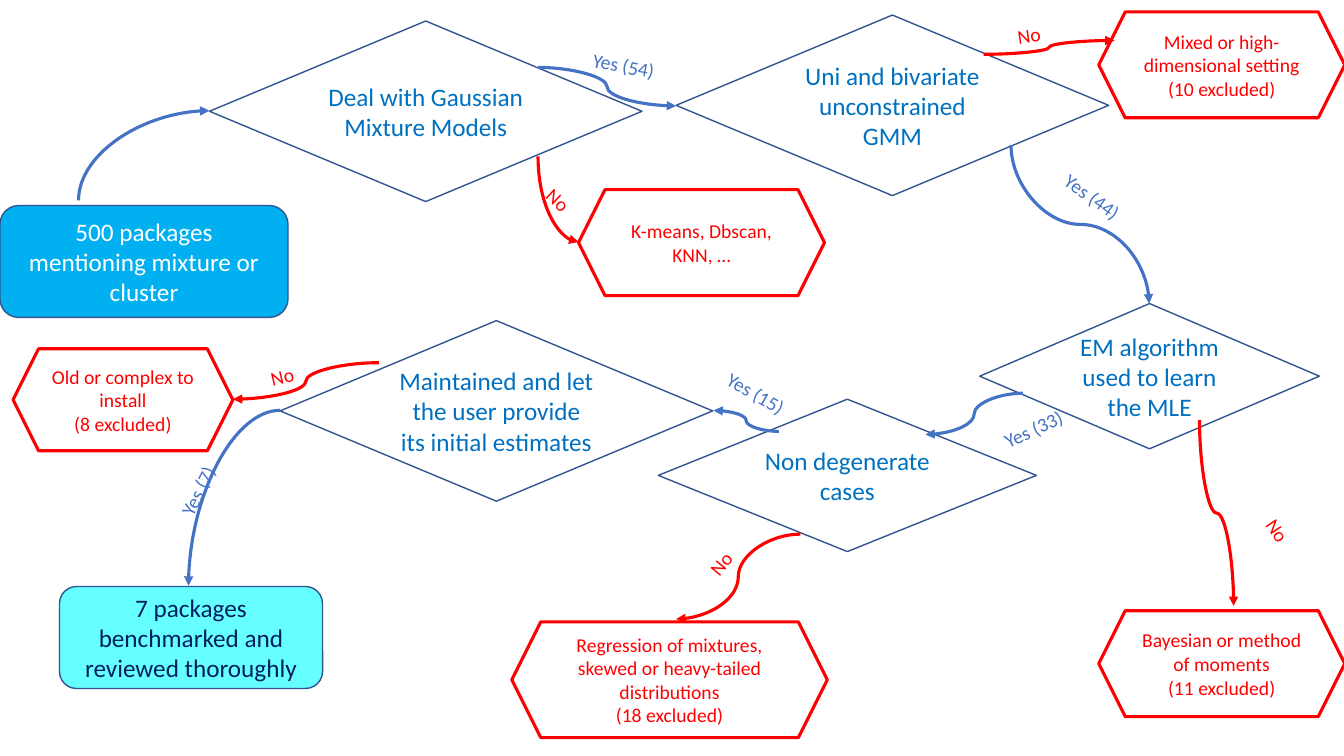
from math import cos, radians, sin

from pptx import Presentation
from pptx.dml.color import RGBColor
from pptx.enum.shapes import MSO_CONNECTOR, MSO_SHAPE as SHAPE
from pptx.enum.text import MSO_ANCHOR, PP_ALIGN
from pptx.oxml.ns import qn
from pptx.oxml.xmlchemy import OxmlElement
from pptx.util import Cm, Pt

NAVY = RGBColor(0x32, 0x54, 0x91)
BLUE = RGBColor(0x44, 0x72, 0xC4)
TEXT_BLUE = RGBColor(0x00, 0x70, 0xC0)
DARK_BLUE = RGBColor(0x00, 0x20, 0x60)
SKY = RGBColor(0x00, 0xB0, 0xF0)
AQUA = RGBColor(0x66, 0xFF, 0xFF)
RED = RGBColor(0xFF, 0x00, 0x00)
WHITE = RGBColor(0xFF, 0xFF, 0xFF)

# Rotation of a connector that leaves its start in the given direction
TURN = {"right": 0, "up": 90, "left": 180, "down": 270}


class Flowchart:
    """Holds the style and the current slide; draws each kind of element."""

    font = "Calibri"
    big, small = Pt(18), Pt(14)
    thin, thick = Pt(1), Pt(2.25)

    def __init__(self, slide):
        """Keep the slide to draw on."""
        self.shapes = slide.shapes

    def add_text(self, tf, lines, size, color):
        """Fill a text frame with centred paragraphs."""
        tf.word_wrap = True
        tf.vertical_anchor = MSO_ANCHOR.MIDDLE
        for i, line in enumerate(lines):
            p = tf.paragraphs[0] if i == 0 else tf.add_paragraph()
            p.alignment = PP_ALIGN.CENTER
            r = p.add_run()
            r.text = line
            r.font.name, r.font.size = self.font, size
            r.font.color.rgb = color

    def node(self, kind, box, lines, size, color, line, width, fill=None):
        """Draw an outlined preset shape with text."""
        sp = self.shapes.add_shape(kind, *map(Cm, box))
        sp.shadow.inherit = False
        if fill is None:
            sp.fill.background()
        else:
            sp.fill.solid()
            sp.fill.fore_color.rgb = fill
        sp.line.color.rgb, sp.line.width = line, width
        self.add_text(sp.text_frame, lines, size, color)

    def decision(self, x, y, text, w=10.9, h=4.55):
        """Draw a question diamond."""
        self.node(SHAPE.FLOWCHART_DECISION, (x, y, w, h), [text],
                  self.big, TEXT_BLUE, NAVY, self.thin)

    def excluded(self, x, y, *lines, w=6.2, h=2.67):
        """Draw a red hexagon for rejected packages."""
        self.node(SHAPE.HEXAGON, (x, y, w, h), lines,
                  self.small, RED, RED, self.thick)

    def stage(self, box, text, color, fill):
        """Draw a filled rounded box for the start or the end."""
        self.node(SHAPE.ROUNDED_RECTANGLE, box, [text],
                  self.big, color, NAVY, self.thin, fill)

    def arrow(self, start, end, leave, color, preset="curvedConnector3"):
        """Draw a curved arrow that leaves its start in one direction."""
        (x1, y1), (x2, y2) = start, end
        turn = TURN[leave]
        c, s = cos(radians(turn)), sin(radians(turn))
        dx, dy = (x2 - x1) / 2, (y2 - y1) / 2
        # Half extents of the curve before it is rotated
        hx, hy = c * dx + s * dy, c * dy - s * dx
        cx, cy = x1 + dx, y1 + dy
        cxn = self.shapes.add_connector(
            MSO_CONNECTOR.CURVE,
            *map(Cm, (cx - hx, cy - hy, cx + hx, cy + hy)))
        cxn.line.color.rgb, cxn.line.width = color, self.thick
        sp_pr = cxn._element.spPr
        sp_pr.find(qn("a:xfrm")).set("rot", str(turn * 60000))
        sp_pr.find(qn("a:prstGeom")).set("prst", preset)
        tail = OxmlElement("a:tailEnd")
        tail.set("type", "triangle")
        sp_pr.find(qn("a:ln")).append(tail)
        sp_pr.append(OxmlElement("a:effectLst"))

    def label(self, cx, cy, text, angle, color):
        """Add a rotated answer around a centre point."""
        w, h = 2.2, 0.86
        sp = self.shapes.add_textbox(Cm(cx - w / 2), Cm(cy - h / 2), Cm(w), Cm(h))
        sp.rotation = angle
        tf = sp.text_frame
        tf.margin_left = tf.margin_right = 0
        self.add_text(tf, [text], self.small, color)


def main():
    """Build the package selection flowchart."""
    prs = Presentation()
    prs.slide_width, prs.slide_height = Cm(33.87), Cm(19.05)
    s = Flowchart(prs.slides.add_slide(prs.slide_layouts[6]))

    s.decision(5.28, 0.53, "Deal with Gaussian Mixture Models")
    s.decision(17.04, 0.38, "Uni and bivariate unconstrained GMM")
    s.decision(24.69, 7.65, "EM algorithm used to learn the MLE", 8.56, 3.66)
    s.decision(16.59, 10.06, "Non degenerate cases", 9.53, 3.84)
    s.decision(7.06, 8.08,
               "Maintained and let the user provide its initial estimates")

    s.stage((0, 5.18, 7.26, 2.82),
            "500 packages mentioning mixture or cluster", WHITE, SKY)
    s.stage((1.5, 14.78, 6.63, 2.57),
            "7 packages benchmarked and reviewed thoroughly", DARK_BLUE, AQUA)

    s.excluded(14.58, 4.78, "K-means, Dbscan, KNN, …")
    s.excluded(27.69, 0.3, "Mixed or high-dimensional setting (10 excluded)")
    s.excluded(27.69, 15.39, "Bayesian or method of moments", "(11 excluded)")
    s.excluded(12.9, 15.67,
               "Regression of mixtures, skewed or heavy-tailed distributions",
               "(18 excluded)", w=7.95, h=2.92)
    s.excluded(0.33, 8.79, "Old or complex to install", "(8 excluded)",
               w=5.54, h=2.57)

    quarter = "curvedConnector2"
    s.arrow((1.98, 5.05), (5.28, 2.79), "up", BLUE, quarter)
    s.arrow((13.56, 1.7), (17.04, 2.67), "right", BLUE)
    s.arrow((25.48, 3.66), (28.96, 7.65), "down", BLUE)
    s.arrow((25.78, 9.91), (23.32, 10.95), "left", BLUE)
    s.arrow((19.63, 10.87), (17.98, 10.34), "left", BLUE)
    s.arrow((7.06, 10.34), (4.75, 14.76), "left", BLUE, quarter)
    s.arrow((13.56, 3.94), (14.58, 6.1), "down", RED, quarter)
    s.arrow((24.79, 1.37), (28.09, 1.02), "right", RED)
    s.arrow((30.23, 10.59), (31.09, 15.27), "down", RED)
    s.arrow((20.17, 13.46), (17.04, 15.6), "left", RED)
    s.arrow((9.55, 9.14), (5.87, 10.06), "left", RED)

    for cx, cy, count, angle in [
        (15.72, 1.65, 54, 10.5), (27.53, 4.95, 44, 35.7),
        (26.04, 10.8, 33, -25.2), (19.05, 9.91, 15, 29.7),
        (4.98, 12.37, 7, -63.8),
    ]:
        s.label(cx, cy, f"Yes ({count})", angle, BLUE)
    for cx, cy, angle in [
        (14.07, 5.03, 42.9), (25.93, 0.89, -8), (32.2, 13.36, 56),
        (18.16, 14.2, -50.6), (7.11, 9.47, -13.4),
    ]:
        s.label(cx, cy, "No", angle, RED)

    prs.save("out.pptx")


main()
